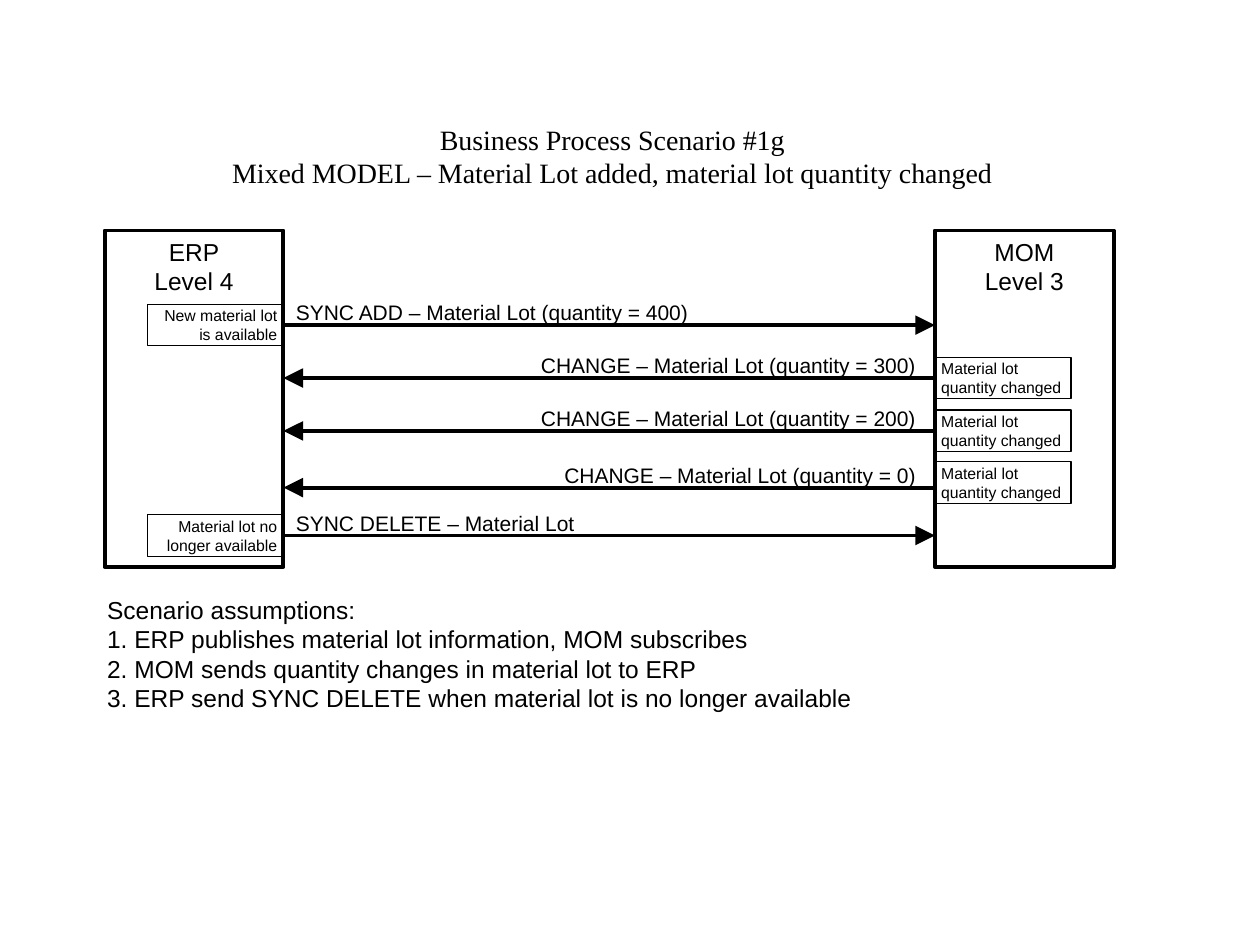
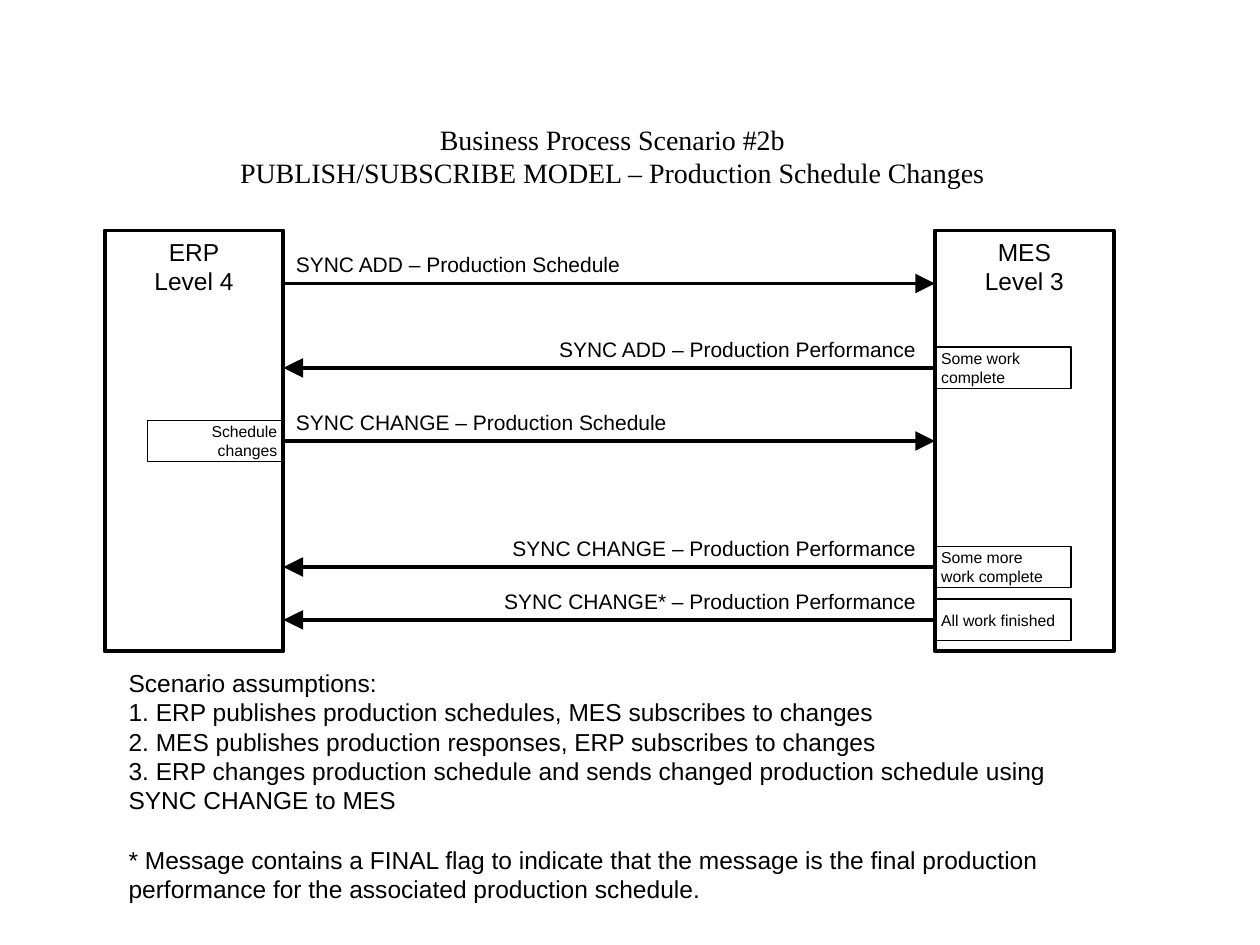
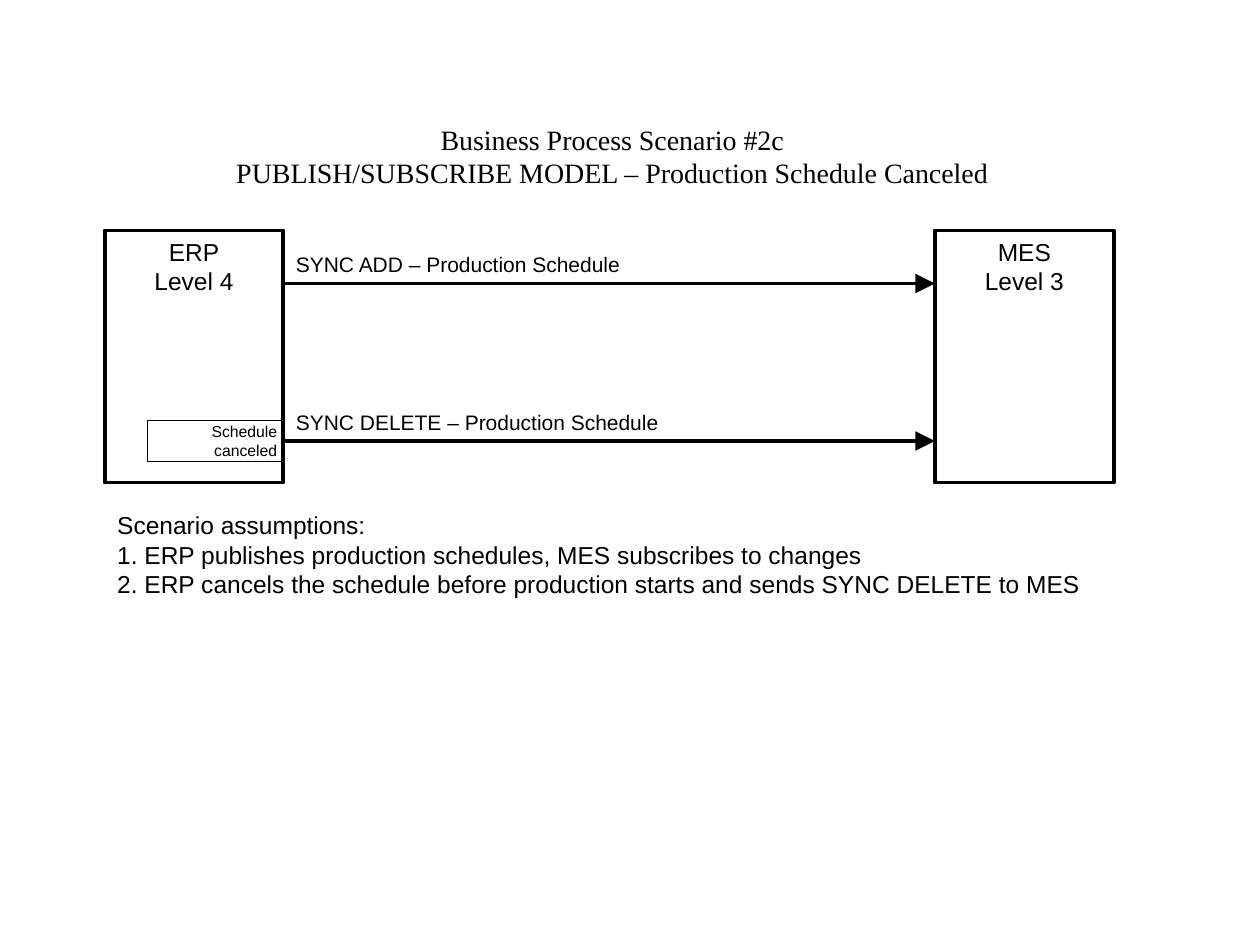
"""Builds three message-exchange scenarios between two system levels."""
from lxml import etree
from pptx import Presentation
from pptx.dml.color import RGBColor
from pptx.enum.shapes import MSO_CONNECTOR, MSO_SHAPE
from pptx.enum.text import MSO_ANCHOR, MSO_AUTO_SIZE, PP_ALIGN
from pptx.oxml.ns import qn
from pptx.util import Inches, Pt

STRAIGHT, RECTANGLE = MSO_CONNECTOR.STRAIGHT, MSO_SHAPE.RECTANGLE
TOP, MIDDLE = MSO_ANCHOR.TOP, MSO_ANCHOR.MIDDLE
LEFT, CENTER, RIGHT = PP_ALIGN.LEFT, PP_ALIGN.CENTER, PP_ALIGN.RIGHT
NO_FIT, GROW = MSO_AUTO_SIZE.NONE, MSO_AUTO_SIZE.SHAPE_TO_FIT_TEXT

BLACK, WHITE = "000000", "FFFFFF"
SANS, SERIF = "Arial", "Times New Roman"
TITLE_CENTER, TITLE_TOP, TITLE_HEIGHT = 4.86, 0.92, 0.64
SYSTEM_TOP, SYSTEM_WIDTH = 1.83, 1.42
ERP_LEFT, MOM_LEFT = 0.83, 7.42
ERP_EDGE = ERP_LEFT + SYSTEM_WIDTH
LABEL_RIGHT, LABEL_HEIGHT, LABEL_SLACK = 7.37, 0.3, 0.05
NOTE_WIDTH, NOTE_HEIGHT = 1.08, 0.33
ASSUMPTIONS_WIDTH = 8
HEADING = "Scenario assumptions:"
SUBSCRIBES = "1. ERP publishes production schedules, MES subscribes to changes"
LOT_CHANGED = "Material lot\nquantity changed"

# Messages: sender, height of the arrow, label, label width.
# Notes: system, height of the middle, text.
SCENARIOS = [
    {
        "title": "Business Process Scenario #1g\n"
                 "Mixed MODEL – Material Lot added, material lot quantity changed",
        "title_width": 6.24,
        "partner": "MOM",
        "system_height": 2.67,
        "label_rise": 0.25,
        "messages": [
            ("ERP", 2.58, "SYNC ADD – Material Lot (quantity = 400)", 3.32),
            ("MOM", 3, "CHANGE – Material Lot (quantity = 300)", 3.18),
            ("MOM", 3.42, "CHANGE – Material Lot (quantity = 200)", 3.18),
            ("MOM", 3.87, "CHANGE – Material Lot (quantity = 0)", 2.99),
            ("ERP", 4.25, "SYNC DELETE – Material Lot", 2.41),
        ],
        "notes": [
            ("ERP", 2.58, "New material lot\nis available"),
            ("MOM", 3, LOT_CHANGED),
            ("MOM", 3.42, LOT_CHANGED),
            ("MOM", 3.83, LOT_CHANGED),
            ("ERP", 4.25, "Material lot no\nlonger available"),
        ],
        "assumptions_box": (0.75, 4.67, 1.08),
        "assumptions": [
            "1. ERP publishes material lot information, MOM subscribes",
            "2. MOM sends quantity changes in material lot to ERP",
            "3. ERP send SYNC DELETE when material lot is no longer available",
        ],
    },
    {
        "title": "Business Process Scenario #2b\n"
                 "PUBLISH/SUBSCRIBE MODEL – Production Schedule Changes",
        "title_width": 6.11,
        "partner": "MES",
        "system_height": 3.34,
        "label_rise": 0.3,
        "messages": [
            ("ERP", 2.25, "SYNC ADD – Production Schedule", 2.78),
            ("MES", 2.92, "SYNC ADD – Production Performance", 3.04),
            ("ERP", 3.5, "SYNC CHANGE – Production Schedule", 3.14),
            ("MES", 4.5, "SYNC CHANGE – Production Performance", 3.4),
            ("MES", 4.92, "SYNC CHANGE* – Production Performance", 3.47),
        ],
        "notes": [
            ("MES", 2.92, "Some work\ncomplete"),
            ("ERP", 3.5, "Schedule\nchanges"),
            ("MES", 4.5, "Some more\nwork complete"),
            ("MES", 4.92, "All work finished"),
        ],
        "assumptions_box": (0.92, 5.25, 1.97),
        "assumptions": [
            SUBSCRIBES,
            "2. MES publishes production responses, ERP subscribes to changes",
            "3. ERP changes production schedule and sends changed production "
            "schedule using SYNC CHANGE to MES",
        ],
        "footnote": "* Message contains a FINAL flag to indicate that the message is the "
                    "final production performance for the associated production schedule.",
    },
    {
        "title": "Business Process Scenario #2c\n"
                 "PUBLISH/SUBSCRIBE MODEL – Production Schedule Canceled",
        "title_width": 6.18,
        "partner": "MES",
        "system_height": 2,
        "label_rise": 0.3,
        "messages": [
            ("ERP", 2.25, "SYNC ADD – Production Schedule", 2.78),
            ("ERP", 3.5, "SYNC DELETE – Production Schedule", 3.08),
        ],
        "notes": [("ERP", 3.5, "Schedule\ncanceled")],
        "assumptions_box": (0.83, 4, 0.8),
        "assumptions": [
            SUBSCRIBES,
            "2. ERP cancels the schedule before production starts and sends SYNC DELETE to MES",
        ],
    },
]


def color(value):
    return RGBColor.from_string(value)


def place(shape, left, top, width, height):
    shape.left, shape.top = Inches(left), Inches(top)
    shape.width, shape.height = Inches(width), Inches(height)


def write(shape, text, size, align, font=SANS, anchor=TOP, wrap=True, fit=NO_FIT):
    frame = shape.text_frame
    frame.text = text
    frame.word_wrap, frame.auto_size, frame.vertical_anchor = wrap, fit, anchor
    for paragraph in frame.paragraphs:
        paragraph.alignment = align
        paragraph.space_before = Pt(0)
        paragraph.font.name, paragraph.font.size = font, Pt(size)
        paragraph.font.color.rgb = color(BLACK)
    return frame


def add_box(slide, left, top, width, height, line_width):
    box = slide.shapes.add_shape(
        RECTANGLE, Inches(left), Inches(top), Inches(width), Inches(height))
    box.shadow.inherit = False
    box.line.color.rgb = color(BLACK)
    box.line.width = Pt(line_width)
    return box


def add_system(slide, left, height, text):
    system = add_box(slide, left, SYSTEM_TOP, SYSTEM_WIDTH, height, 2.25)
    system.fill.solid()
    system.fill.fore_color.rgb = color(WHITE)
    write(system, text, 14, CENTER)
    return system


def add_note(slide, from_erp, middle, text):
    left = ERP_EDGE - NOTE_WIDTH if from_erp else MOM_LEFT
    note = add_box(slide, left, middle - NOTE_HEIGHT / 2, NOTE_WIDTH, NOTE_HEIGHT, 0.75)
    note.fill.background()
    frame = write(note, text, 9, RIGHT if from_erp else LEFT, anchor=MIDDLE, wrap=False)
    frame.margin_left = frame.margin_right = Inches(0.05)
    return note


def add_arrow(slide, from_erp, y, note, receiver):
    start, end = (ERP_EDGE, MOM_LEFT) if from_erp else (MOM_LEFT, ERP_EDGE)
    arrow = slide.shapes.add_connector(
        STRAIGHT, Inches(start), Inches(y), Inches(end), Inches(y))
    arrow.line.color.rgb = color(BLACK)
    arrow.line.width = Pt(2.25)
    properties = arrow._element.spPr
    etree.SubElement(properties.find(qn("a:ln")), qn("a:tailEnd"),
                     type="triangle", w="lg", len="lg")
    etree.SubElement(properties, qn("a:effectLst"))
    if note is not None:
        arrow.begin_connect(note, 3 if from_erp else 1)
    if abs(receiver.top + receiver.height / 2 - Inches(y)) < Inches(0.01):
        arrow.end_connect(receiver, 1 if from_erp else 3)


def add_label(slide, from_erp, top, text, text_width):
    width = text_width + LABEL_SLACK
    left = ERP_EDGE if from_erp else LABEL_RIGHT - width
    label = slide.shapes.add_textbox(
        Inches(left), Inches(top), Inches(width), Inches(LABEL_HEIGHT))
    write(label, text, 12, LEFT if from_erp else RIGHT, wrap=False, fit=GROW)


def add_assumptions(body, scenario):
    left, top, height = scenario["assumptions_box"]
    place(body, left, top, ASSUMPTIONS_WIDTH, height)
    lines = [HEADING, *scenario["assumptions"]]
    if "footnote" in scenario:
        lines.append(scenario["footnote"])
    frame = write(body, "\n".join(lines), 14, LEFT)
    for paragraph in frame.paragraphs:
        properties = paragraph._p.get_or_add_pPr()
        properties.set("marL", "0")
        properties.set("indent", "0")
        spacing = properties.find(qn("a:spcBef"))
        spacing.addnext(etree.Element(qn("a:buNone")))
    if "footnote" in scenario:
        frame.paragraphs[-1].space_before = Pt(17)


def add_scenario(deck, scenario):
    slide = deck.slides.add_slide(deck.slide_layouts[1])
    title, body = slide.placeholders
    width = scenario["title_width"]
    place(title, TITLE_CENTER - width / 2, TITLE_TOP, width, TITLE_HEIGHT)
    write(title, scenario["title"], 16, CENTER, font=SERIF, wrap=False)
    add_assumptions(body, scenario)

    height = scenario["system_height"]
    erp = add_system(slide, ERP_LEFT, height, "ERP\nLevel 4")
    partner = add_system(slide, MOM_LEFT, height, scenario["partner"] + "\nLevel 3")
    notes = {(owner, middle): add_note(slide, owner == "ERP", middle, text)
             for owner, middle, text in scenario["notes"]}
    for sender, y, text, label_width in scenario["messages"]:
        from_erp = sender == "ERP"
        add_arrow(slide, from_erp, y, notes.get((sender, y)), partner if from_erp else erp)
        add_label(slide, from_erp, y - scenario["label_rise"], text, label_width)


def main():
    deck = Presentation()
    deck.slide_width, deck.slide_height = Inches(10), Inches(7.5)
    for scenario in SCENARIOS:
        add_scenario(deck, scenario)
    deck.save("out.pptx")


if __name__ == "__main__":
    main()
